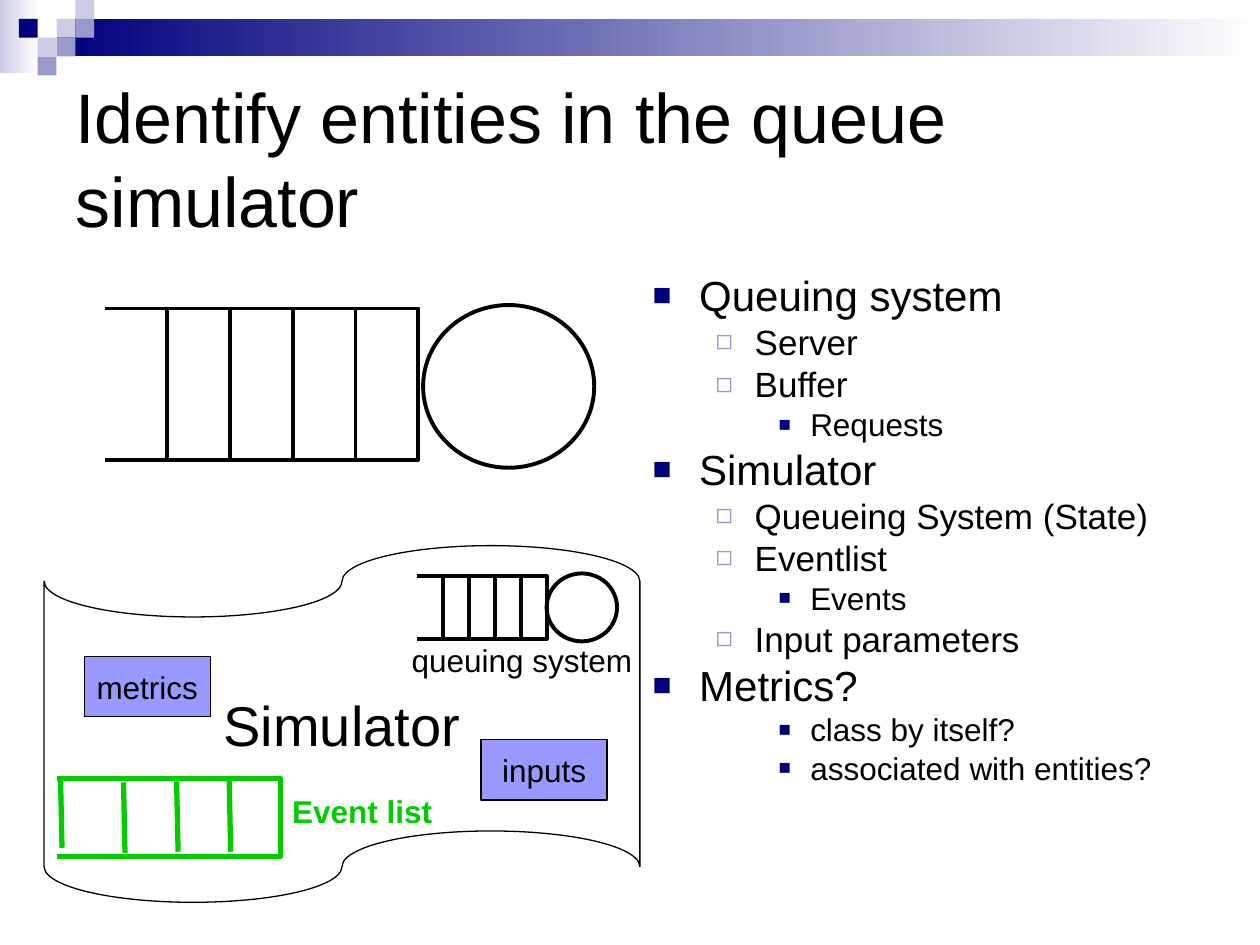
from lxml import etree
from pptx import Presentation
from pptx.dml.color import RGBColor
from pptx.enum import shapes, text
from pptx.oxml import ns
from pptx.util import Cm, Pt

BLACK, NAVY, LILAC, PALE = "000000", "00007D", "9999CC", "CCCCE6"
GREEN, WHITE, BOX = "00CC00", "FFFFFF", "9999FF"
SHAPE = shapes.MSO_SHAPE


def paint(fill, color):
    """Make a shape, line or font fill solid, or clear it when color is None."""
    if color is None:
        fill.background()
    else:
        fill.solid()
        fill.fore_color.rgb = RGBColor.from_string(color)


def write(paragraph, words, size=18, color=BLACK, bold=False, align=text.PP_ALIGN.LEFT):
    paragraph.alignment = align
    run = paragraph.add_run()
    run.text = words
    run.font.name = "Arial"
    run.font.size = Pt(size)
    run.font.bold = bold
    paint(run.font.fill, color)


presentation = Presentation()
presentation.slide_width, presentation.slide_height = Cm(25.4), Cm(19.05)
slide = presentation.slides.add_slide(presentation.slide_layouts[1])

# Header: two fading bars and a checker of small squares
for left, top, width, height, color in [
    (0, 0, 0.79, 1.47, PALE),
    (1.14, 0.38, 24.26, 0.76, NAVY),
]:
    bar = slide.shapes.add_shape(SHAPE.RECTANGLE, Cm(left), Cm(top), Cm(width), Cm(height))
    bar.shadow.inherit = False
    bar.line.fill.background()
    bar.fill.gradient()
    bar.fill.gradient_angle = 0
    for stop, stop_color in zip(bar.fill.gradient_stops, (color, WHITE)):
        stop.color.rgb = RGBColor.from_string(stop_color)

UNIT = Cm(0.38)
for column, row, color in [
    (3, 1, PALE), (4, 0, PALE), (4, 1, LILAC), (2, 2, PALE),
    (1, 1, NAVY), (3, 2, LILAC), (2, 3, LILAC),
]:
    square = slide.shapes.add_shape(SHAPE.RECTANGLE, column * UNIT, row * UNIT, UNIT, UNIT)
    square.shadow.inherit = False
    paint(square.fill, color)
    paint(square.line.fill, None)
# The bar covers column 4 in its own row only where no square is drawn

# Title
title = slide.shapes.title
title.left, title.top, title.width, title.height = Cm(1.27), Cm(1.27), Cm(22.86), Cm(3.81)
title.text_frame.auto_size = text.MSO_AUTO_SIZE.NONE
title.text_frame.vertical_anchor = text.MSO_ANCHOR.MIDDLE
write(title.text_frame.paragraphs[0], "Identify entities in the queue simulator", size=40)

# Entity list
body = slide.placeholders[1]
body.left, body.top, body.width, body.height = Cm(12.9), Cm(5.51), Cm(11.23), Cm(10.8)
body.text_frame.auto_size = text.MSO_AUTO_SIZE.NONE
# per level: text size, space before, margin, hanging indent, bullet, its colour and percent
levels = [
    (24, 6, 0.94, 0.94, "■", NAVY, 75),
    (20, 5, 2.06, 0.79, "◻", LILAC, 80),
    (18, 4.5, 3.18, 0.64, "■", NAVY, 65),
]
entities = [
    (0, "Queuing system"), (1, "Server"), (1, "Buffer"), (2, "Requests"),
    (0, "Simulator"), (1, "Queueing System (State)"), (1, "Eventlist"), (2, "Events"),
    (1, "Input parameters"),
    (0, "Metrics?"), (2, "class by itself?"), (2, "associated with entities?"),
]
for index, (level, words) in enumerate(entities):
    size, before, margin, hanging, bullet, color, percent = levels[level]
    paragraph = body.text_frame.add_paragraph() if index else body.text_frame.paragraphs[0]
    paragraph.level = level
    paragraph.line_spacing = 0.8
    paragraph.space_before = Pt(before if index else 0)
    properties = paragraph._p.get_or_add_pPr()
    properties.set("marL", str(Cm(margin)))
    properties.set("indent", str(-Cm(hanging)))
    bullet_color = etree.SubElement(properties, ns.qn("a:buClr"))
    etree.SubElement(bullet_color, ns.qn("a:srgbClr"), val=color)
    etree.SubElement(properties, ns.qn("a:buSzPct"), val=str(percent * 1000))
    etree.SubElement(properties, ns.qn("a:buFont"), typeface="Arial")
    etree.SubElement(properties, ns.qn("a:buChar"), char=bullet)
    write(paragraph, words, size=size)

# Simulator, its boxes and the two servers
for kind, left, top, width, height, fill, weight, words, size in [
    (SHAPE.FLOWCHART_PUNCHED_TAPE, 0.89, 11, 12.01, 7.19, None, 0.75, "Simulator", 32),
    (SHAPE.RECTANGLE, 1.7, 13.23, 2.54, 1.22, BOX, 0.75, "metrics", 18),
    (SHAPE.RECTANGLE, 9.7, 14.91, 2.54, 1.22, BOX, 0.75, "inputs", 18),
    (SHAPE.OVAL, 8.53, 6.15, 3.45, 3.28, None, 2.25, "", 18),
    (SHAPE.OVAL, 11.02, 11.56, 1.42, 1.37, None, 2.25, "", 18),
]:
    shape = slide.shapes.add_shape(kind, Cm(left), Cm(top), Cm(width), Cm(height))
    shape.shadow.inherit = False
    paint(shape.fill, fill)
    paint(shape.line.fill, BLACK)
    shape.line.width = Pt(weight)
    if words:
        shape.text_frame.word_wrap = False
        shape.text_frame.vertical_anchor = text.MSO_ANCHOR.MIDDLE
        write(shape.text_frame.paragraphs[0], words, size=size, align=text.PP_ALIGN.CENTER)

# Queues: an outline open on the left, with dividers (x, top, bottom, slant)
queues = []
for left, top, right, bottom in [(2.11, 6.22, 8.43, 9.27), (8.41, 11.61, 11.02, 12.88)]:
    step = (right - left) / 5
    dividers = [(left + step * slot, top, bottom, 0) for slot in range(1, 5)]
    queues.append((left, top, right, bottom, BLACK, 2.25, dividers))
event_dividers = [
    (1.22, 15.67, 17.09, 0.03), (2.49, 15.77, 17.2, 0.03),
    (3.56, 15.75, 17.17, 0.03), (4.62, 15.72, 17.17, 0.03),
]
queues.append((1.14, 15.7, 5.66, 17.27, GREEN, 3, event_dividers))

for left, top, right, bottom, color, weight, dividers in queues:
    builder = slide.shapes.build_freeform(Cm(left), Cm(top))
    corners = [(right, top), (right, bottom), (left, bottom)]
    builder.add_line_segments([(Cm(x), Cm(y)) for x, y in corners], close=False)
    outline = builder.convert_to_shape()
    outline.shadow.inherit = False
    paint(outline.fill, None)
    paint(outline.line.fill, color)
    outline.line.width = Pt(weight)
    for x, start, end, slant in dividers:
        divider = slide.shapes.add_connector(
            shapes.MSO_CONNECTOR.STRAIGHT, Cm(x), Cm(start), Cm(x + slant), Cm(end))
        paint(divider.line.fill, color)
        divider.line.width = Pt(weight)
        etree.SubElement(divider._element.spPr, ns.qn("a:effectLst"))

# Queue labels
for left, top, width, words, color, bold in [
    (8.05, 12.8, 4.95, "queuing system", BLACK, False),
    (5.64, 15.85, 3.33, "Event list", GREEN, True),
]:
    label = slide.shapes.add_textbox(Cm(left), Cm(top), Cm(width), Cm(1.02))
    label.text_frame.word_wrap = False
    write(label.text_frame.paragraphs[0], words, color=color, bold=bold)

presentation.save("out.pptx")
